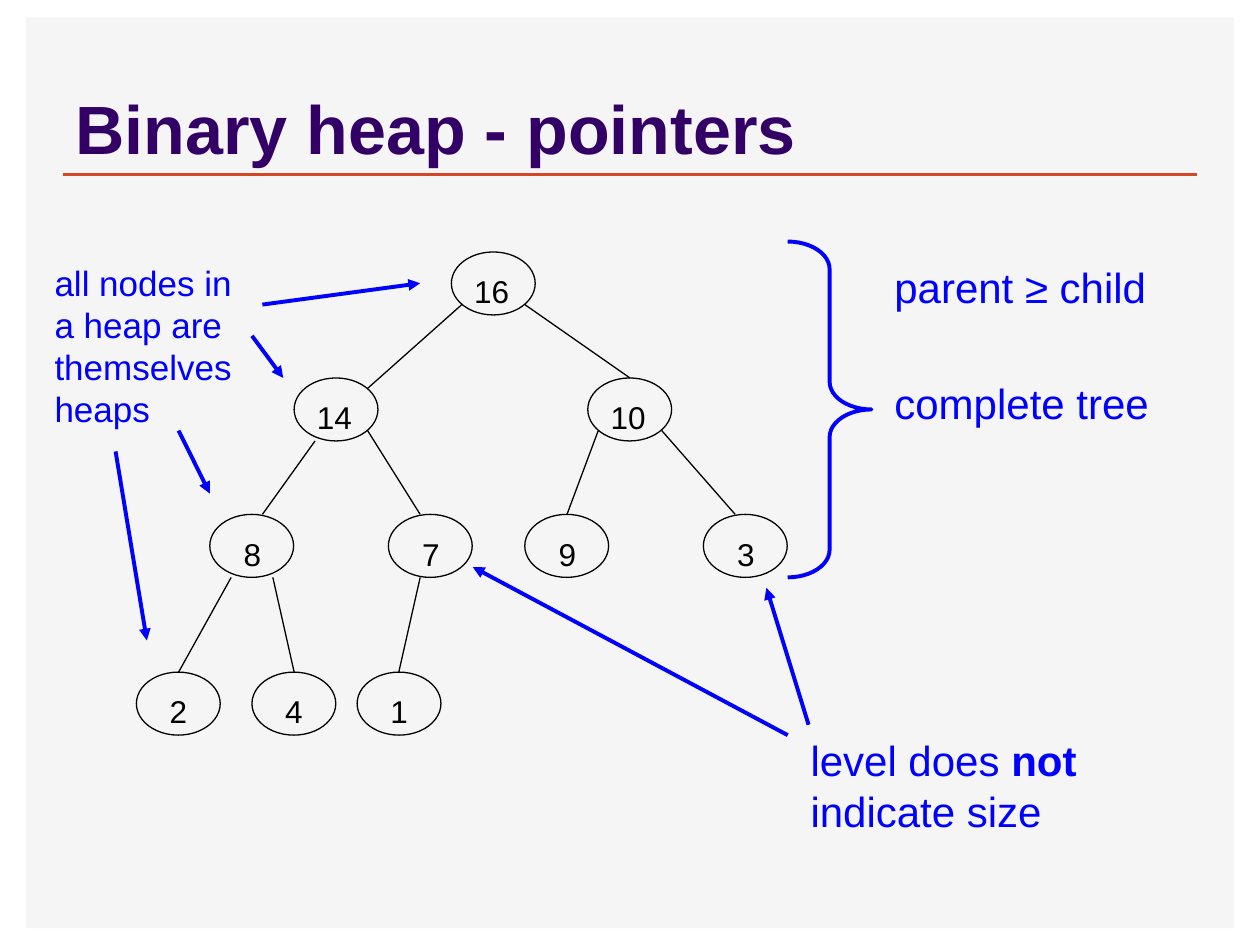
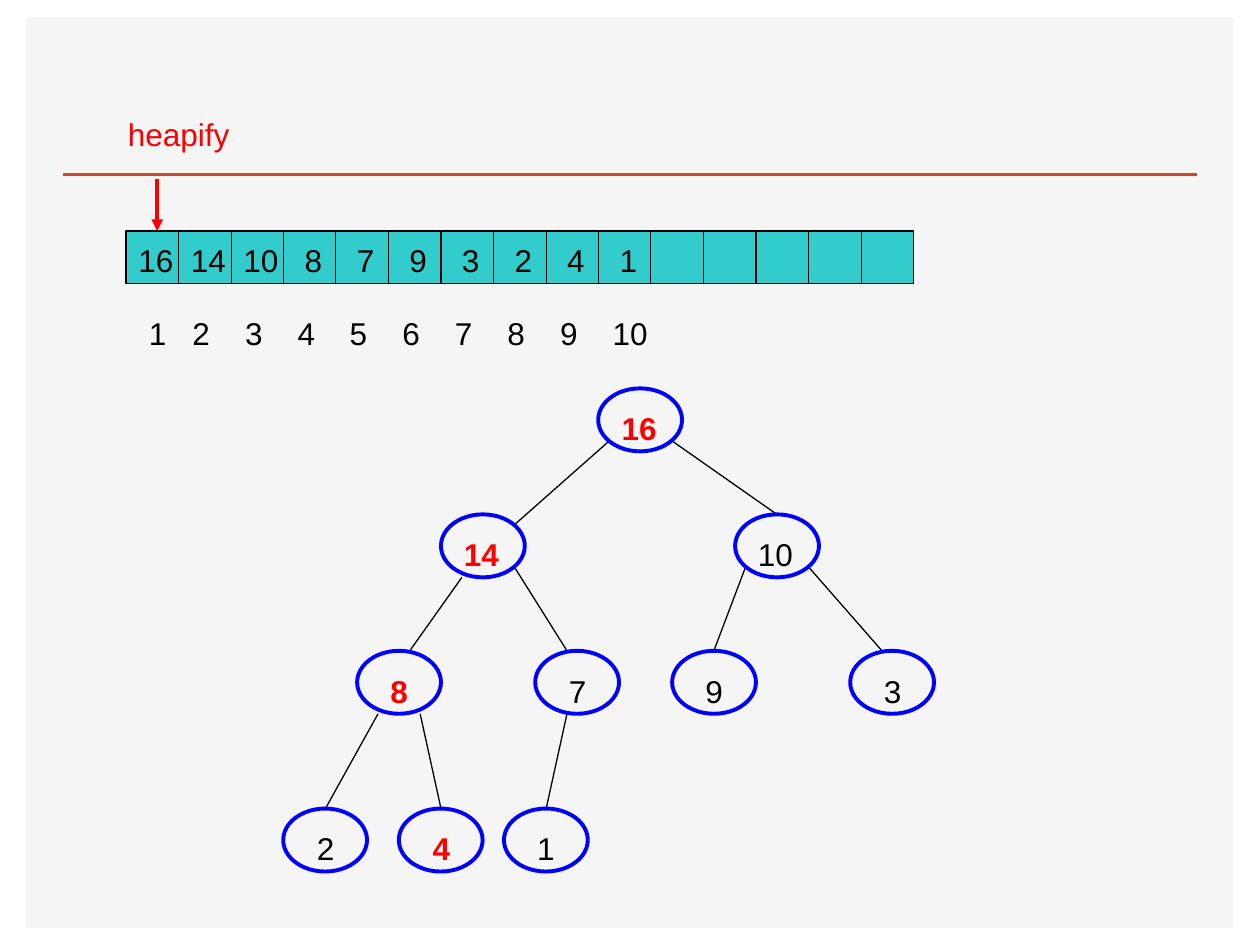
from lxml import etree
from pptx import Presentation
from pptx.dml.color import RGBColor
from pptx.enum.shapes import MSO_CONNECTOR, MSO_SHAPE
from pptx.enum.text import MSO_ANCHOR, PP_ALIGN
from pptx.oxml.ns import qn
from pptx.util import Cm, Pt

STRAIGHT = MSO_CONNECTOR.STRAIGHT
RECT, OVAL, BRACE = MSO_SHAPE.RECTANGLE, MSO_SHAPE.OVAL, MSO_SHAPE.RIGHT_BRACE
BOTTOM, LEFT = MSO_ANCHOR.BOTTOM, PP_ALIGN.LEFT

THEME = {
    "font": "Arial",
    "ink": "000000", "blue": "0000FF", "red": "FF0000", "title": "330066",
    "panel": "F5F5F5", "rule": "D24726", "cell": "33CCCC",
    "title_size": 39, "note_size": 24, "side_size": 20, "label_size": 18,
    "thin": 0.75, "thick": 2.25, "rule_width": 2,
}

# All positions below are in grid steps of a twelfth of an inch.
GRID = 2.54 / 12
NODE_W, NODE_H = 8, 6
LABEL_W, LABEL_H = 7, 4.8

NODES = [
    ("16", 43, 24), ("14", 28, 36), ("10", 56, 36),
    ("8", 20, 49), ("7", 37, 49), ("9", 50, 49), ("3", 67, 49),
    ("2", 13, 64), ("4", 24, 64), ("1", 34, 64),
]
EDGES = [
    (44, 29, 35, 37), (50, 29, 60, 36),
    (30, 42, 25, 49), (35, 41, 40, 49), (57, 41, 54, 49), (63, 41, 70, 49),
    (22, 55, 17, 64), (26, 55, 28, 64), (40, 55, 38, 64),
]

TITLE = "Binary heap - pointers"
NOTES = [
    ((84, 24, 32, 6), "note_size", [("parent ≥ child", False)]),
    ((84, 35, 28, 6), "note_size", [("complete tree", False)]),
    ((76, 69, 37, 10.8), "note_size",
     [("level does ", False), ("not", True), (" indicate size", False)]),
    ((4, 24, 20, 17.2), "side_size",
     [("all nodes in a heap are themselves heaps", False)]),
]
NOTE_ARROWS = [
    (77, 69, 73, 56), (75, 70, 45, 54),
    (25, 29, 40, 27), (24, 32, 27, 36), (17, 41, 20, 47), (11, 43, 14, 61),
]
BRACE_BOX = (75, 23, 8, 32)

CELLS, CELL = 15, 5
ARRAY_X, ARRAY_Y = 12, 22
ARRAY_ROWS = [
    ((12, 22, 74, 4.8), "ctr", 1.41,
     ["16", "14", "10", "8", "7", "9", "3", "2", "4", "1"]),
    ((13, 29, 74, 4.8), "l", 0.88, [str(i) for i in range(1, 11)]),
]
HEAPIFY_PATH = {"16", "14", "8", "4"}
HEAP_SHIFT = (14, 13)


def grid(*steps):
    return [Cm(round(n * GRID, 2)) for n in steps]


def rgb(name):
    return RGBColor.from_string(THEME[name])


def set_all(obj, **values):
    for name, value in values.items():
        setattr(obj, name, value)


def format_run(r, size, color, bold=False):
    set_all(r.font, name=THEME["font"], size=Pt(THEME[size]), bold=bold)
    r.font.color.rgb = rgb(color)


def add_line(s, ends, color="ink", width="thin", arrow=False):
    line = s.shapes.add_connector(STRAIGHT, *grid(*ends))
    line.line.color.rgb = rgb(color)
    line.line.width = Pt(THEME[width])
    if arrow:
        etree.SubElement(line.line._get_or_add_ln(), qn("a:tailEnd"), type="triangle")
    etree.SubElement(line._element.spPr, qn("a:effectLst"))


def add_box(s, kind, box, fill=None, color=None, width="thin"):
    sp = s.shapes.add_shape(kind, *grid(*box))
    sp.shadow.inherit = False
    if fill:
        sp.fill.solid()
        sp.fill.fore_color.rgb = rgb(fill)
    else:
        sp.fill.background()
    if color:
        sp.line.color.rgb = rgb(color)
        sp.line.width = Pt(THEME[width])
    else:
        sp.line.fill.background()
    return sp


def add_text(s, box, runs, size="label_size", color="ink", tabs=None):
    tf = s.shapes.add_textbox(*grid(*box)).text_frame
    set_all(tf, word_wrap=True, margin_top=Cm(0.2), margin_bottom=0)
    p = tf.paragraphs[0]
    if tabs:
        align, first, count = tabs
        stops = etree.SubElement(p._p.get_or_add_pPr(), qn("a:tabLst"))
        for i in range(count):
            pos = Cm(round(first + i * CELL * GRID, 2))
            etree.SubElement(stops, qn("a:tab"), pos=str(int(pos)), algn=align)
    for text, bold in runs:
        r = p.add_run()
        r.text = text
        format_run(r, size, color, bold)


def add_slide(prs, title=None):
    s = prs.slides.add_slide(prs.slide_layouts[5 if title else 6])
    add_box(s, RECT, (2.5, 1.65, 115, 86.75), fill="panel")
    add_line(s, (6, 16.65, 114, 16.65), "rule", "rule_width")
    if title:
        sp = s.shapes.title
        s.shapes._spTree.append(sp._element)
        left, top, width, height = grid(6, 1.6, 108, 15)
        set_all(sp, left=left, top=top, width=width, height=height)
        set_all(sp.text_frame, text=title, vertical_anchor=BOTTOM, word_wrap=True)
        p = sp.text_frame.paragraphs[0]
        p.alignment = LEFT
        format_run(p.runs[0], "title_size", "title", True)
    return s


def add_heap(s, shift=(0, 0), outline="ink", width="thin", marked=()):
    dx, dy = shift
    for x1, y1, x2, y2 in EDGES:
        add_line(s, (x1 + dx, y1 + dy, x2 + dx, y2 + dy))
    for key, x, y in NODES:
        x, y = x + dx, y + dy
        add_box(s, OVAL, (x, y, NODE_W, NODE_H), color=outline, width=width)
        inset = 1 if len(key) == 2 else 2
        hit = key in marked
        add_text(s, (x + inset, y + 1, LABEL_W, LABEL_H), [(key, hit)],
                 color="red" if hit else "ink")


def build_pointers(prs):
    s = add_slide(prs, TITLE)
    add_heap(s)
    for box, size, runs in NOTES:
        add_text(s, box, runs, size, "blue")
    brace = add_box(s, BRACE, BRACE_BOX, color="blue", width="thick")
    brace.adjustments[0] = 0.33
    for ends in NOTE_ARROWS:
        add_line(s, ends, "blue", "thick", arrow=True)


def build_heapify(prs):
    s = add_slide(prs)
    add_box(s, RECT, (ARRAY_X, ARRAY_Y, CELLS * CELL, CELL), "cell", "ink")
    for i in range(1, CELLS):
        x = ARRAY_X + i * CELL
        add_line(s, (x, ARRAY_Y, x, ARRAY_Y + CELL))
    for box, align, first, values in ARRAY_ROWS:
        add_text(s, box, [("\t".join(values), False)],
                 tabs=(align, first, len(values) - 1))
    add_heap(s, HEAP_SHIFT, "blue", "thick", HEAPIFY_PATH)
    add_line(s, (15, 17, 15, ARRAY_Y), "red", "thick", arrow=True)
    add_text(s, (11, 10, 13, LABEL_H), [("heapify", False)], color="red")


def main():
    prs = Presentation()
    set_all(prs, slide_width=Cm(25.4), slide_height=Cm(19.05))
    build_pointers(prs)
    build_heapify(prs)
    prs.save("out.pptx")


if __name__ == "__main__":
    main()
